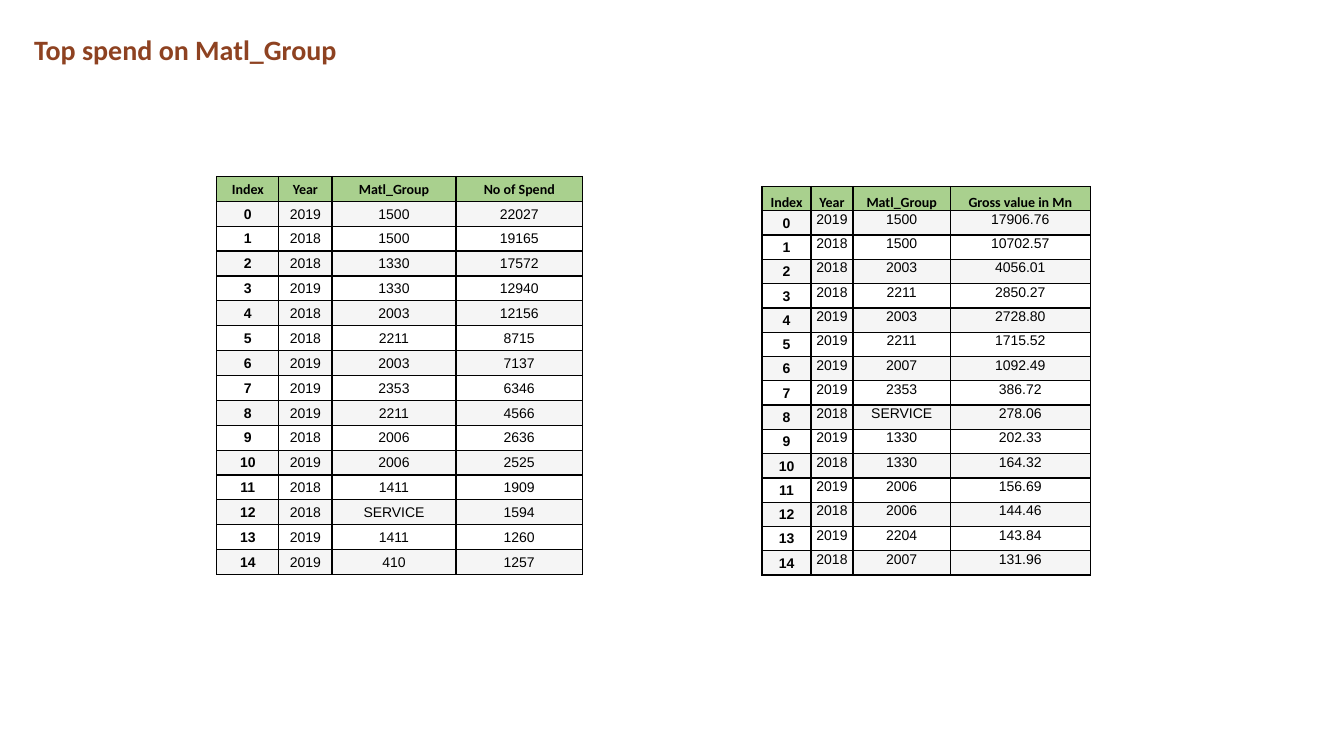
from lxml.etree import SubElement
from pptx import Presentation
from pptx.dml.color import RGBColor
from pptx.enum.text import MSO_ANCHOR, PP_ALIGN
from pptx.oxml.ns import qn
from pptx.util import Pt

COLORS = {
    "title": "8E4221",
    "text": "000000",
    "line": "000000",
    "head": "A9D08E",
    "band": "F5F5F5",
    "plain": "FFFFFF",
}

COUNT_HEAD = ("Index", "Year", "Matl_Group", "No of Spend")
COUNTS = [
    ("2019", "1500", "22027"),
    ("2018", "1500", "19165"),
    ("2018", "1330", "17572"),
    ("2019", "1330", "12940"),
    ("2018", "2003", "12156"),
    ("2018", "2211", "8715"),
    ("2019", "2003", "7137"),
    ("2019", "2353", "6346"),
    ("2019", "2211", "4566"),
    ("2018", "2006", "2636"),
    ("2019", "2006", "2525"),
    ("2018", "1411", "1909"),
    ("2018", "SERVICE", "1594"),
    ("2019", "1411", "1260"),
    ("2019", "410", "1257"),
]

VALUE_HEAD = ("Index", "Year", "Matl_Group", "Gross value in Mn")
VALUES = [
    ("2019", "1500", "17906.76"),
    ("2018", "1500", "10702.57"),
    ("2018", "2003", "4056.01"),
    ("2018", "2211", "2850.27"),
    ("2019", "2003", "2728.80"),
    ("2019", "2211", "1715.52"),
    ("2019", "2007", "1092.49"),
    ("2019", "2353", "386.72"),
    ("2018", "SERVICE", "278.06"),
    ("2019", "1330", "202.33"),
    ("2018", "1330", "164.32"),
    ("2019", "2006", "156.69"),
    ("2018", "2006", "144.46"),
    ("2019", "2204", "143.84"),
    ("2018", "2007", "131.96"),
]


def color(name):
    return RGBColor.from_string(COLORS[name])


def add_run(para, text, size, font, tint, bold):
    run = para.add_run()
    run.text = text
    run.font.size = Pt(size)
    run.font.name = font
    run.font.bold = bold
    run.font.color.rgb = color(tint)


def add_title(slide, text):
    box = slide.shapes.add_textbox(Pt(17.3), Pt(19.4), Pt(400), Pt(31.5))
    box.text_frame.word_wrap = True
    add_run(box.text_frame.paragraphs[0], text, 20, "Calibri", "title", True)


def add_border(cell):
    """Draw all four sides; call before the fill, which must follow in the XML."""
    props = cell._tc.get_or_add_tcPr()
    for side in ("lnL", "lnR", "lnT", "lnB"):
        line = SubElement(props, qn(f"a:{side}"), w=str(Pt(1)))
        fill = SubElement(line, qn("a:solidFill"))
        SubElement(fill, qn("a:srgbClr"), val=COLORS["line"])


def fill_cell(cell, text, font, bold, shade, anchor):
    add_border(cell)
    cell.fill.solid()
    cell.fill.fore_color.rgb = color(shade)
    cell.vertical_anchor = anchor
    cell.margin_left = cell.margin_right = cell.margin_top = Pt(0.7)
    cell.margin_bottom = Pt(0)
    para = cell.text_frame.paragraphs[0]
    para.alignment = PP_ALIGN.CENTER
    add_run(para, text, 10, font, "text", bold)


def add_grid(slide, left, top, widths, height, head, data, tops, bodies):
    """Add an indexed table; tops and bodies anchor the header and data text."""
    frame = slide.shapes.add_table(
        len(data) + 1, len(head), Pt(left), Pt(top),
        Pt(sum(widths)), Pt(height * (len(data) + 1)))
    table = frame.table
    for col, width in zip(table.columns, widths):
        col.width = Pt(width)
    for row in table.rows:
        row.height = Pt(height)
    for c, text in enumerate(head):
        fill_cell(table.cell(0, c), text, "Calibri", True, "head", tops)
    for r, record in enumerate(data):
        shade = "plain" if r % 2 else "band"
        for c, text in enumerate((str(r), *record)):
            anchor = bodies if c else MSO_ANCHOR.MIDDLE
            fill_cell(table.cell(r + 1, c), text, "Arial", c == 0, shade, anchor)


def main():
    deck = Presentation()
    deck.slide_width, deck.slide_height = Pt(960), Pt(540)
    slide = deck.slides.add_slide(deck.slide_layouts[6])
    add_grid(slide, 154.8, 126, (44.4, 38, 88.5, 90.4), 17.8,
             COUNT_HEAD, COUNTS, MSO_ANCHOR.MIDDLE, MSO_ANCHOR.MIDDLE)
    add_grid(slide, 544.3, 133.2, (35, 30, 69.6, 99.8), 17.36,
             VALUE_HEAD, VALUES, MSO_ANCHOR.BOTTOM, MSO_ANCHOR.TOP)
    add_title(slide, "Top spend on Matl_Group")
    deck.save("out.pptx")


if __name__ == "__main__":
    main()
